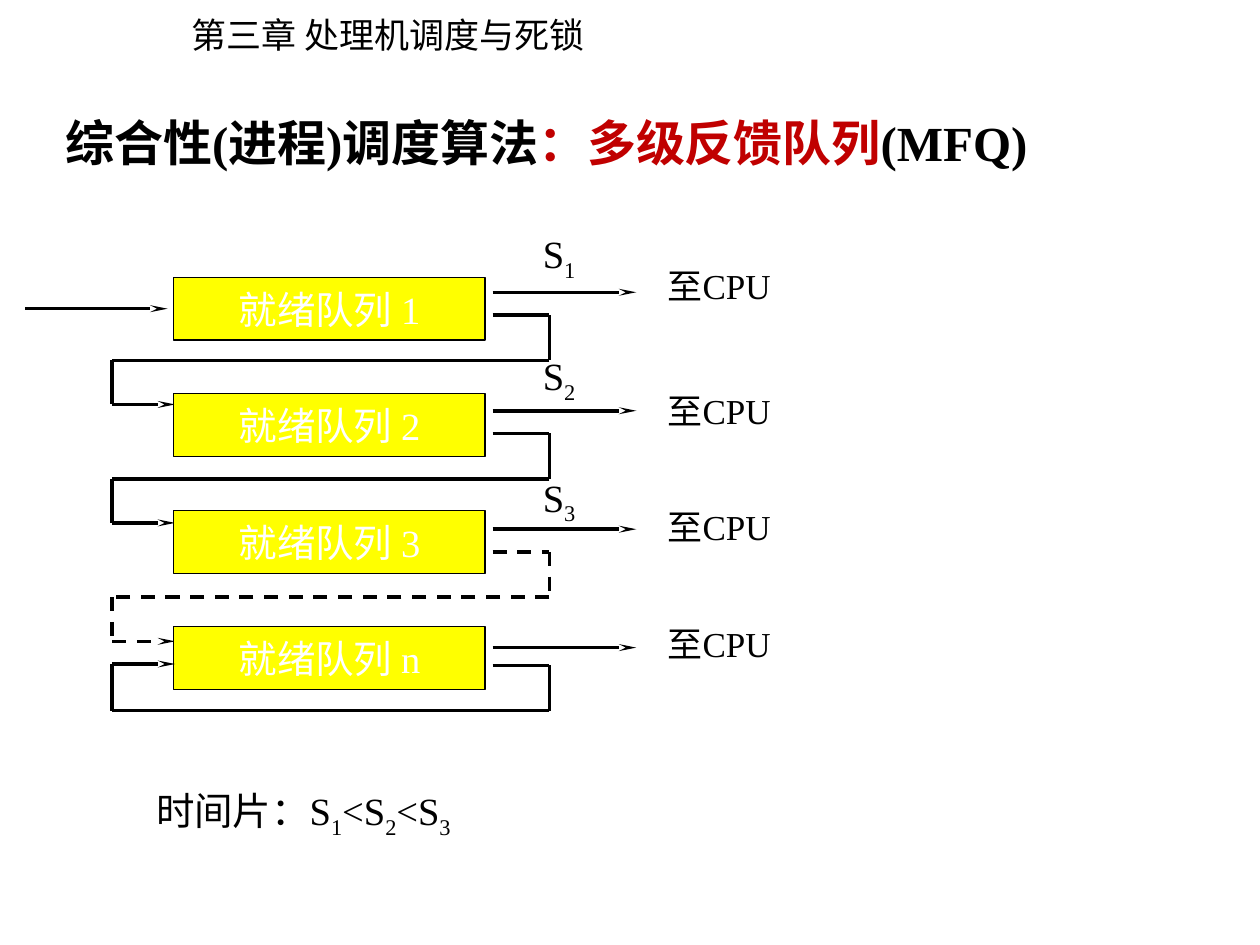
import dataclasses

import lxml.etree
import pptx
import pptx.dml.color
import pptx.enum.dml
import pptx.enum.shapes
import pptx.enum.text
import pptx.oxml.ns
import pptx.util


@dataclasses.dataclass(frozen=True)
class Theme:
    """Colours, fonts and sizes of the slide."""
    ink: str = "000000"
    red: str = "C00000"
    fill: str = "FFFF00"
    pale: str = "FFFFFF"
    serif: str = "Times New Roman"
    sans: str = "Noto Sans CJK JP"
    title: int = 28
    body: int = 22
    small: int = 20
    stroke: int = 2
    edge: float = 0.75


LOOK = Theme()
WIDE, HIGH = pptx.util.Inches(10), pptx.util.Inches(7.5)
COLS, ROWS = 100, 75
PITCH = 9.25
STEP = 9.4
LEFT, RIGHT = 8.9, 43.6
PORT, ENTRY = 39.1, 13.9


def grid(*cells):
    """Turn column and row numbers, in turn, into slide lengths."""
    units = (WIDE / COLS, HIGH / ROWS)
    return [round(cell * units[i % 2]) for i, cell in enumerate(cells)]


def apply(item, values):
    """Set each attribute that the dict names."""
    for name, value in values.items():
        setattr(item, name, value)


def paint(color):
    """Make a colour from its hex code."""
    return pptx.dml.color.RGBColor.from_string(color)


def add_sub(node, tag, **values):
    """Add a drawing element below a node."""
    return lxml.etree.SubElement(node, pptx.oxml.ns.qn(tag), **values)


def write(frame, runs, size, face=LOOK.serif, bold=False, align=None):
    """Write runs of text, colour and subscript flag in one paragraph."""
    para = frame.paragraphs[0]
    para.alignment = align
    for text, color, sub in runs:
        run = para.add_run()
        run.text = text
        apply(run.font, {"size": pptx.util.Pt(size), "name": face, "bold": bold})
        run.font.color.rgb = paint(color)
        props = run.font._element
        add_sub(props, "a:ea", typeface=LOOK.sans)
        if sub:
            props.set("baseline", "-25000")


def label(slide, place, runs, size, wrap=True, **style):
    """Add a text box."""
    frame = slide.shapes.add_textbox(*grid(*place)).text_frame
    apply(frame, {"word_wrap": wrap,
                  "auto_size": pptx.enum.text.MSO_AUTO_SIZE.SHAPE_TO_FIT_TEXT})
    write(frame, runs, size, **style)


def queue(slide, row, name):
    """Add the box of one ready queue."""
    box = slide.shapes.add_shape(pptx.enum.shapes.MSO_SHAPE.RECTANGLE,
                                 *grid(13.8, 22 + PITCH * row, 24.7, 5))
    box.shadow.inherit = False
    box.fill.solid()
    box.fill.fore_color.rgb = paint(LOOK.fill)
    box.line.color.rgb = paint(LOOK.ink)
    box.line.width = pptx.util.Pt(LOOK.edge)
    apply(box.text_frame, {"word_wrap": False,
                           "vertical_anchor": pptx.enum.text.MSO_ANCHOR.MIDDLE})
    write(box.text_frame, [(f"就绪队列 {name}", LOOK.pale, False)], LOOK.body,
          align=pptx.enum.text.PP_ALIGN.CENTER)


def line(slide, start, end, head=False, dash=False):
    """Draw a straight line, with an arrowhead or dashes if asked."""
    link = slide.shapes.add_connector(pptx.enum.shapes.MSO_CONNECTOR.STRAIGHT,
                                      *grid(*start, *end))
    link.line.color.rgb = paint(LOOK.ink)
    link.line.width = pptx.util.Pt(LOOK.stroke)
    if dash:
        link.line.dash_style = pptx.enum.dml.MSO_LINE.DASH
    if head:
        add_sub(link.line._get_or_add_ln(), "a:tailEnd",
                type="stealth", w="sm", len="lg")
    add_sub(link._element.spPr, "a:effectLst")


def loop(slide, out, entry, dash=False):
    """Lead from the right of a queue round to the left of a queue."""
    base = out + 3.6
    points = [(PORT, out), (RIGHT, out), (RIGHT, base),
              (LEFT, base), (LEFT, entry), (ENTRY, entry)]
    for start, end in zip(points, points[1:]):
        line(slide, start, end, head=end == points[-1], dash=dash)


def flow(slide):
    """Draw the queues with their arrows and loops."""
    line(slide, (2, 24.5), (13.3, 24.5), head=True)
    for row, name in enumerate("123n"):
        queue(slide, row, name)
        exit_row = 23.2 + STEP * row
        line(slide, (PORT, exit_row), (50.5, exit_row), head=True)
        if name == "n":
            loop(slide, 52.8, 52.7)
        else:
            out = 25 + STEP * row
            loop(slide, out, out + 7.1, dash=name == "3")
            label(slide, (42.1, 17.8 + 9.65 * row, 4.9, 5.2),
                  [("S", LOOK.ink, False), (name, LOOK.ink, True)], LOOK.body)
    for top in (20.5, 30.4, 39.6, 48.9):
        label(slide, (52, top, 10.6, 7.7),
              [("至CPU", LOOK.ink, False)], LOOK.small)


def main():
    """Build and save the slide."""
    deck = pptx.Presentation()
    apply(deck, {"slide_width": WIDE, "slide_height": HIGH})
    slide = deck.slides.add_slide(deck.slide_layouts[6])
    label(slide, (14.2, 0.6, 33.8, 4.4),
          [("第三章 处理机调度与死锁", LOOK.ink, False)],
          LOOK.small, wrap=False, face=LOOK.sans)
    label(slide, (4.2, 8.4, 83, 5.7),
          [("综合性(进程)调度算法", LOOK.ink, False),
           ("：多级反馈队列", LOOK.red, False), ("(MFQ)", LOOK.ink, False)],
          LOOK.title, wrap=False, bold=True)
    flow(slide)
    parts = ("时间片：S", "1", "<S", "2", "<S", "3")
    label(slide, (11.4, 62, 28.4, 5.2),
          [(part, LOOK.ink, part.isdigit()) for part in parts], LOOK.body)
    deck.save("out.pptx")


if __name__ == "__main__":
    main()
